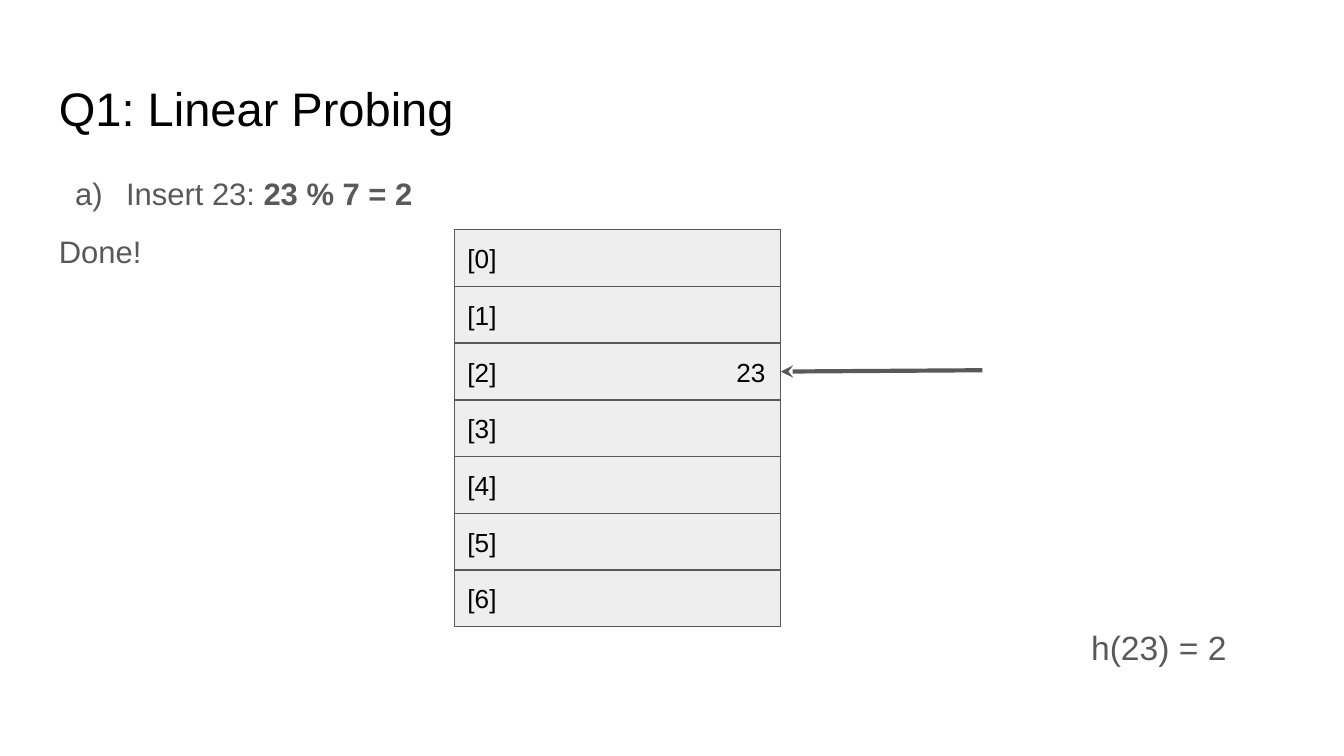
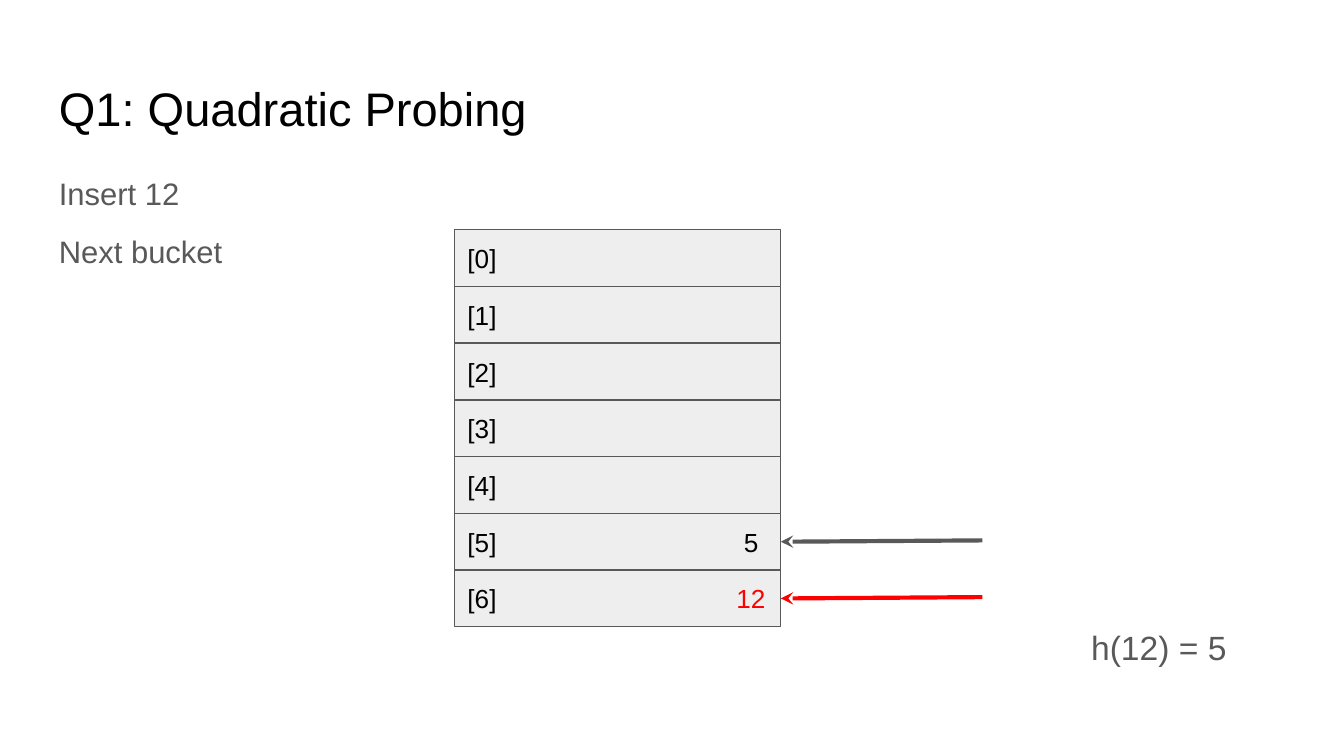
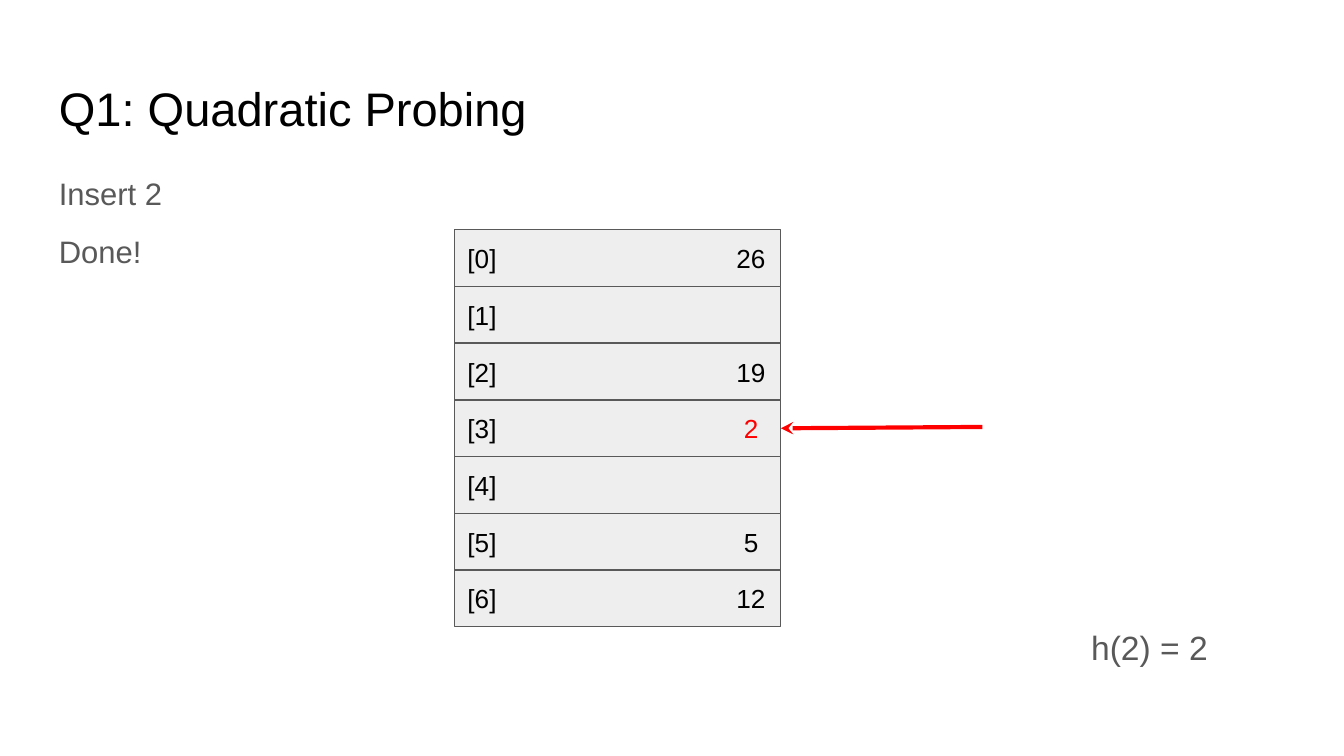
from lxml import etree
from pptx import Presentation
from pptx.dml.color import RGBColor
from pptx.enum.shapes import MSO_CONNECTOR, MSO_SHAPE
from pptx.enum.text import MSO_ANCHOR, PP_ALIGN
from pptx.oxml.ns import qn
from pptx.util import Inches, Pt

RECT = MSO_SHAPE.RECTANGLE
LINE = MSO_CONNECTOR.STRAIGHT
TOP, MID = MSO_ANCHOR.TOP, MSO_ANCHOR.MIDDLE
LEFT = PP_ALIGN.LEFT

BLACK = RGBColor(0x00, 0x00, 0x00)
GREY = RGBColor(0x59, 0x59, 0x59)
PALE = RGBColor(0xEE, 0xEE, 0xEE)
RED = RGBColor(0xFF, 0x00, 0x00)
FONT = "Arial"

# The slide is a grid of 100 columns; its rows are as high as a column is wide.
WIDTH = Inches(10)
HEIGHT = WIDTH * 9 // 16
UNIT = WIDTH // 100

MARGIN = 3.4
TABLE_X, TABLE_Y = 33.8, 17.1
ROW_W, ROW_H = 24.3, 4.22
ROWS = 7
VALUE_TAB = 21.1
ARROW_W = 15


def grid(*cells):
    return [round(c * UNIT) for c in cells]


def set_frame(shape, anchor):
    frame = shape.text_frame
    frame.word_wrap = True
    frame.vertical_anchor = anchor
    frame.margin_left = frame.margin_right = UNIT
    frame.margin_top = frame.margin_bottom = UNIT
    return frame


def add_run(para, text, size, color, bold=False):
    run = para.add_run()
    run.text = text
    font = run.font
    font.name, font.size, font.bold = FONT, Pt(size), bold
    font.color.rgb = color


def add_box(slide, x, y, w, h):
    return set_frame(slide.shapes.add_textbox(*grid(x, y, w, h)), TOP)


def add_title(slide, text):
    frame = add_box(slide, MARGIN, 4.9, 93.2, 6.3)
    add_run(frame.paragraphs[0], text, 25.2, BLACK)


def add_letter(para):
    """Number the paragraph a), b), ... with a hanging indent."""
    props = para._p.get_or_add_pPr()
    indent, hang = grid(5, 3.8)
    props.set("marL", str(indent))
    props.set("indent", str(-hang))
    tint = etree.SubElement(props, qn("a:buClr"))
    etree.SubElement(tint, qn("a:srgbClr"), val=str(GREY))
    etree.SubElement(props, qn("a:buAutoNum"), type="alphaLcParenR")


def add_steps(slide, step, result, sum_text=""):
    """Write the step and its result; a step with a sum gets a letter."""
    frame = add_box(slide, MARGIN, 12.2, 30.4, 11.1)
    first, last = frame.paragraphs[0], frame.add_paragraph()
    if sum_text:
        add_letter(first)
    add_run(first, step, 16.6, GREY)
    if sum_text:
        add_run(first, sum_text, 16.6, GREY, bold=True)
    add_run(last, result, 16.6, GREY)
    first.line_spacing = last.line_spacing = 0.95
    last.space_before = last.space_after = Pt(12)


def add_hash(slide, text):
    para = add_box(slide, 80.2, 45.2, 19.8, 11.1).paragraphs[0]
    para.line_spacing = 1.15
    para.space_after = Pt(12)
    add_run(para, text, 18, GREY)


def add_bucket(slide, row, value, color):
    y = TABLE_Y + row * ROW_H
    shape = slide.shapes.add_shape(RECT, *grid(TABLE_X, y, ROW_W, ROW_H))
    shape.shadow.inherit = False
    shape.fill.solid()
    shape.fill.fore_color.rgb = PALE
    shape.line.color.rgb = GREY
    shape.line.width = Pt(0.75)
    para = set_frame(shape, MID).paragraphs[0]
    para.alignment = LEFT
    add_run(para, f"[{row}]", 14, BLACK)
    if value:
        tabs = etree.SubElement(para._p.get_or_add_pPr(), qn("a:tabLst"))
        stop = grid(VALUE_TAB)[0]
        etree.SubElement(tabs, qn("a:tab"), pos=str(stop), algn="ctr")
        add_run(para, f"\t{value}", 14, color)


def add_table(slide, values, fresh):
    """Stack the buckets; the value in the fresh row is red."""
    for row in range(ROWS):
        add_bucket(slide, row, values.get(row), RED if row == fresh else BLACK)


def add_arrow(slide, row, color):
    x = TABLE_X + ROW_W
    y = TABLE_Y + (row + 0.5) * ROW_H
    ends = grid(x + ARROW_W, y - 0.1, x, y)
    arrow = slide.shapes.add_connector(LINE, *ends)
    arrow.line.color.rgb = color
    arrow.line.width = Pt(2.25)
    etree.SubElement(arrow.line._get_or_add_ln(), qn("a:tailEnd"), type="stealth")
    etree.SubElement(arrow._element.spPr, qn("a:effectLst"))


def add_probe(deck, title, steps, values, arrows, key, fresh=None):
    slide = deck.slides.add_slide(deck.slide_layouts[6])
    add_title(slide, title)
    add_steps(slide, *steps)
    add_table(slide, values, fresh)
    for row, color in arrows:
        add_arrow(slide, row, color)
    add_hash(slide, key)


def main():
    deck = Presentation()
    deck.slide_width, deck.slide_height = WIDTH, HEIGHT
    add_probe(deck, "Q1: Linear Probing",
              ("Insert 23: ", "Done!", "23 % 7 = 2"),
              {2: "23"}, [(2, GREY)], "h(23) = 2")
    add_probe(deck, "Q1: Quadratic Probing",
              ("Insert 12", "Next bucket"),
              {5: "5", 6: "12"}, [(6, RED), (5, GREY)], "h(12) = 5", fresh=6)
    add_probe(deck, "Q1: Quadratic Probing",
              ("Insert 2", "Done!"),
              {0: "26", 2: "19", 3: "2", 5: "5", 6: "12"},
              [(3, RED)], "h(2) = 2", fresh=3)
    deck.save("out.pptx")


if __name__ == "__main__":
    main()
